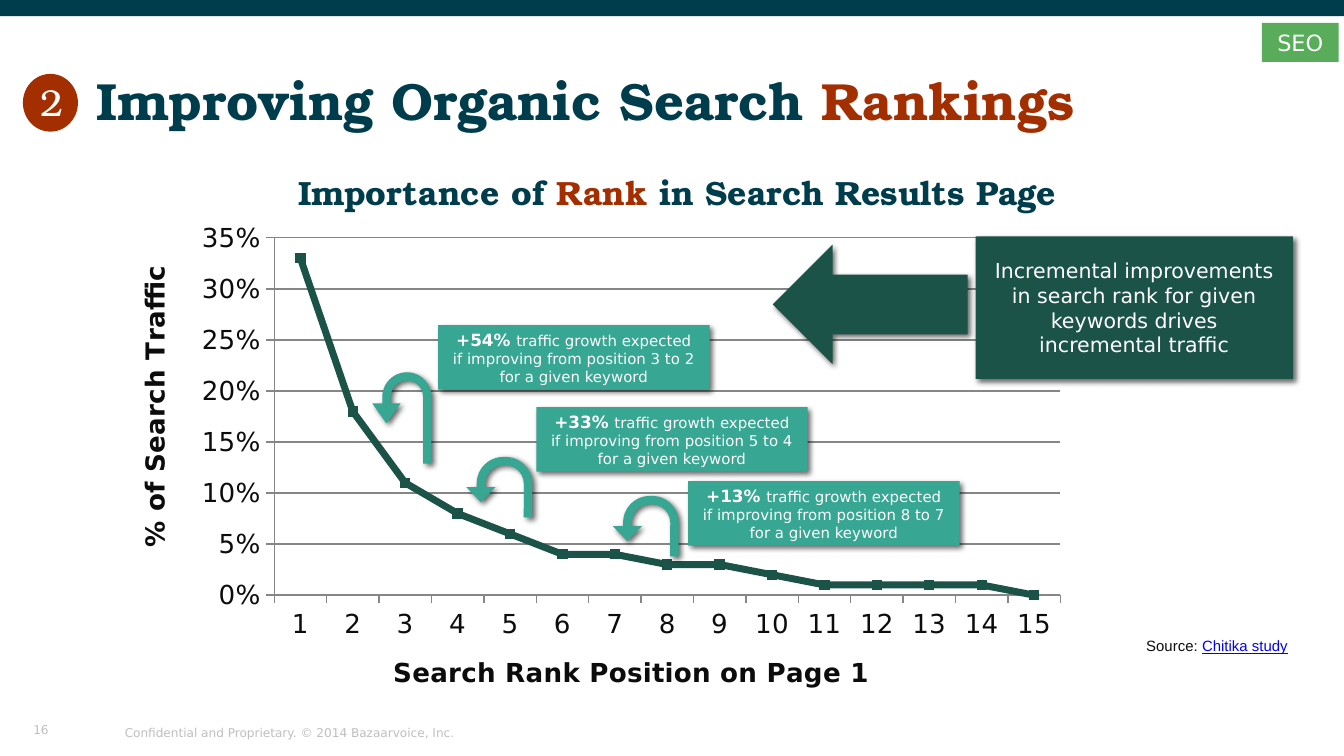
import pptx
import pptx.chart.data
import pptx.dml.color
import pptx.enum.chart
import pptx.enum.shapes
import pptx.enum.text
import pptx.oxml
import pptx.oxml.ns
import pptx.util

PX = 9144  # 100 px to the inch
COLORS = {
    "navy": "003D4C", "rust": "A32E00", "forest": "1C5349", "teal": "37A692",
    "green": "008000", "ink": "0C0C0C", "grid": "868686", "muted": "BFBFBF",
    "link": "0000FF", "white": "FFFFFF",
}
SANS, SERIF, ARIAL = "DejaVu Sans", "TeX Gyre Bonum", "Arial"
SHAPE = pptx.enum.shapes.MSO_SHAPE
ANCHOR = pptx.enum.text.MSO_ANCHOR
CENTER = pptx.enum.text.PP_ALIGN.CENTER
qn = pptx.oxml.ns.qn
NS_A = pptx.oxml.ns.nsdecls("a")
TRAFFIC = [0.33, 0.18, 0.11, 0.08, 0.06, 0.04, 0.04, 0.03,
           0.03, 0.02, 0.01, 0.01, 0.01, 0.01, 0]


def rgb(name):
    return pptx.dml.color.RGBColor.from_string(COLORS[name])


def emu(box):
    return [v * PX for v in box]


def set_font(font, face, size, color, bold=None):
    font.name, font.size, font.bold = face, pptx.util.Pt(size), bold
    font.color.rgb = rgb(color)


def add_shape(shapes, kind, box, fill, shadow=False):
    sp = shapes.add_shape(kind, *emu(box))
    sp.fill.solid()
    sp.fill.fore_color.rgb = rgb(fill)
    sp.line.fill.background()
    sp.shadow.inherit = False
    if shadow:
        sp._element.spPr.find(qn("a:effectLst")).append(pptx.oxml.parse_xml(
            f'<a:outerShdw {NS_A} blurRad="38100" dist="25400" dir="2700000">'
            '<a:srgbClr val="000000"><a:alpha val="60000"/></a:srgbClr></a:outerShdw>'))
    return sp


def write(sp, runs, face, size, color, bold=None, align=None, anchor=ANCHOR.TOP, wrap=True):
    """Fill the shape with one paragraph of (text, color or None) runs."""
    tf = sp.text_frame
    tf.word_wrap, tf.vertical_anchor = wrap, anchor
    p = tf.paragraphs[0]
    p.alignment = align
    set_font(p.font, face, size, color, bold)
    for text, run_color in runs:
        r = p.add_run()
        r.text = text
        if run_color:
            r.font.color.rgb = rgb(run_color)
    return p


def add_text(shapes, box, runs, *args, **kwargs):
    sp = shapes.add_textbox(*emu(box))
    write(sp, runs, *args, **kwargs)
    return sp


def add_header(shapes, x, y, w):
    add_shape(shapes, SHAPE.RECTANGLE, (x, y, w, 12), "navy")
    tag = add_shape(shapes, SHAPE.RECTANGLE, (x + w - 61, y + 17, 57, 29), "green")
    tag.fill._xPr.find(qn("a:solidFill"))[0].append(
        pptx.oxml.parse_xml(f'<a:alpha {NS_A} val="65000"/>'))
    write(tag, [("SEO", None)], SANS, 12, "white", align=CENTER, anchor=ANCHOR.MIDDLE)
    add_text(shapes, (x + 62, y + 46, w - 62, 94),
             [("Improving Organic Search ", None), ("Rankings", "rust")],
             SERIF, 28, "navy", bold=True)
    badge = shapes.add_group_shape().shapes
    add_shape(badge, SHAPE.OVAL, (x + 17, y + 55, 41, 43), "rust")
    add_text(badge, (x + 20, y + 54, 36, 44), [("2", None)], SERIF, 20, "white")


def add_subtitle(shapes, *box):
    sp = add_shape(shapes, SHAPE.RECTANGLE, box, "white")
    p = write(sp, [("Importance of ", None), ("Rank", "rust"),
                   (" in Search Results Page", None)],
              SERIF, 18, "navy", bold=True, align=pptx.enum.text.PP_ALIGN.LEFT)
    p._p.get_or_add_pPr().set("marL", str(31 * PX))
    p.line_spacing = 1.2


def set_layout(parent, index, **values):
    """Place a chart part by hand, in fractions of the chart's size."""
    old = parent.find(qn("c:layout"))
    if old is not None:
        parent.remove(old)
    modes = {"xMode": "edge", "yMode": "edge"}
    if "w" in values:
        modes = {"layoutTarget": "inner", **modes}
    parts = "".join(f'<c:{k} val="{v}"/>' for k, v in {**modes, **values}.items())
    parent.insert(index, pptx.oxml.parse_xml(
        f'<c:layout {pptx.oxml.ns.nsdecls("c")}><c:manualLayout>{parts}'
        '</c:manualLayout></c:layout>'))


def add_traffic_chart(shapes, x, y, w, h):
    data = pptx.chart.data.CategoryChartData(number_format="0%")
    data.categories = [str(rank) for rank in range(1, len(TRAFFIC) + 1)]
    data.add_series("Series 1", TRAFFIC)
    chart = shapes.add_chart(pptx.enum.chart.XL_CHART_TYPE.LINE_MARKERS,
                             *emu((x, y, w, h)), data).chart
    chart.has_legend = chart.has_title = False
    set_font(chart.font, SANS, 14, "ink")
    set_layout(chart._chartSpace.chart.plotArea, 0,
               x=120 / w, y=19 / h, w=585 / w, h=266 / h)

    plot = chart.plots[0]
    plot.vary_by_categories = False
    series = plot.series[0]
    series.smooth = False
    series.format.line.width = pptx.util.Pt(3.75)
    series.format.line.color.rgb = rgb("forest")
    marker = series.marker
    marker.style, marker.size = pptx.enum.chart.XL_MARKER_STYLE.SQUARE, 5
    marker.format.fill.solid()
    marker.format.fill.fore_color.rgb = rgb("forest")
    marker.format.line.color.rgb = rgb("forest")

    values = chart.value_axis
    values.minimum_scale, values.maximum_scale, values.major_unit = 0, 0.35, 0.05
    values.tick_labels.number_format = "0%"
    values.tick_labels.number_format_is_linked = False
    values.has_major_gridlines = True
    titles = [(chart.category_axis, "Search Rank Position on Page 1", 205, 325),
              (values, "% of Search Traffic", 14, 36)]
    lines = [values.major_gridlines.format.line]
    for axis, title, left, top in titles:
        axis.major_tick_mark = pptx.enum.chart.XL_TICK_MARK.OUTSIDE
        lines.append(axis.format.line)
        axis.axis_title.text_frame.text = title
        set_font(axis.axis_title.text_frame.paragraphs[0].font, SANS, 14, "ink", True)
        set_layout(axis.axis_title._element, 1, x=left / w, y=top / h)
    for line in lines:
        line.color.rgb = rgb("grid")
        line.width = pptx.util.Pt(0.75)


def add_takeaway(shapes, x, y):
    arrow = add_shape(shapes, SHAPE.UP_ARROW, (x + 28, y - 22, 89, 145), "forest", True)
    arrow.rotation = 270
    sp = add_shape(shapes, SHAPE.RECTANGLE, (x + 151, y, 236, 106), "forest", True)
    write(sp, [("Incremental improvements in search rank for given keywords "
                "drives incremental traffic", None)],
          SANS, 11, "white", align=CENTER, anchor=ANCHOR.MIDDLE)


def add_growth_callout(shapes, x, y, growth, start, arrow_box, bend, length):
    """Callout at x, y with a U-turn arrow whose box is relative to it."""
    dx, dy, w, h = arrow_box
    arrow = add_shape(shapes, SHAPE.U_TURN_ARROW, (x + dx, y + dy, w, h), "teal", True)
    for i, value in enumerate((0.14, 0.24, bend, 0.44, length)):
        arrow.adjustments[i] = value
    arrow._element.spPr.xfrm.set("flipH", "1")
    sp = add_shape(shapes, SHAPE.RECTANGLE, (x, y, 202, 48), "teal", True)
    p = write(sp, [(f"+{growth}% ", None),
                   (f"traffic growth expected if improving from position {start} "
                    f"to {start - 1} for a given keyword", None)],
              SANS, 8, "white", align=CENTER, anchor=ANCHOR.MIDDLE)
    p.runs[0].font.size, p.runs[0].font.bold = pptx.util.Pt(9), True


def add_footer(shapes, x, y):
    source = add_text(shapes, (x + 843, y - 64, 127, 24),
                      [("Source: ", None), ("Chitika study", "link")],
                      ARIAL, 8, "ink", wrap=False)
    source.text_frame.paragraphs[0].runs[1].font.underline = True
    add_text(shapes, (x, y, 61, 40), [("16", None)], SANS, 6.5, "muted", align=CENTER)
    sp = add_text(shapes, (x + 83, y + 7, 262, 11),
                  [("Confidential and Proprietary. © 2014 Bazaarvoice, Inc.", None)],
                  SANS, 6.5, "muted", anchor=ANCHOR.MIDDLE, wrap=False)
    tf = sp.text_frame
    tf.margin_top = tf.margin_bottom = tf.margin_right = 0


def main():
    prs = pptx.Presentation()
    prs.slide_width = 1000 * PX
    prs.slide_height = prs.slide_width * 9 // 16
    shapes = prs.slides.add_slide(prs.slide_layouts[6]).shapes
    add_subtitle(shapes, 181, 117, 691, 65)
    add_traffic_chart(shapes, 84, 158, 720, 376)
    add_header(shapes, 0, 0, 1000)
    add_takeaway(shapes, 575, 176)
    for callout in [(326, 242, 54, 3, (-49, 35, 44, 68), 0.34, 0.56),
                    (399, 303, 33, 5, (-52, 37, 49, 45), 0.25, 0.75),
                    (512, 358, 13, 8, (-56, 11, 49, 45), 0.25, 0.75)]:
        add_growth_callout(shapes, *callout)
    add_footer(shapes, 0, 533)
    prs.save("out.pptx")


if __name__ == "__main__":
    main()
